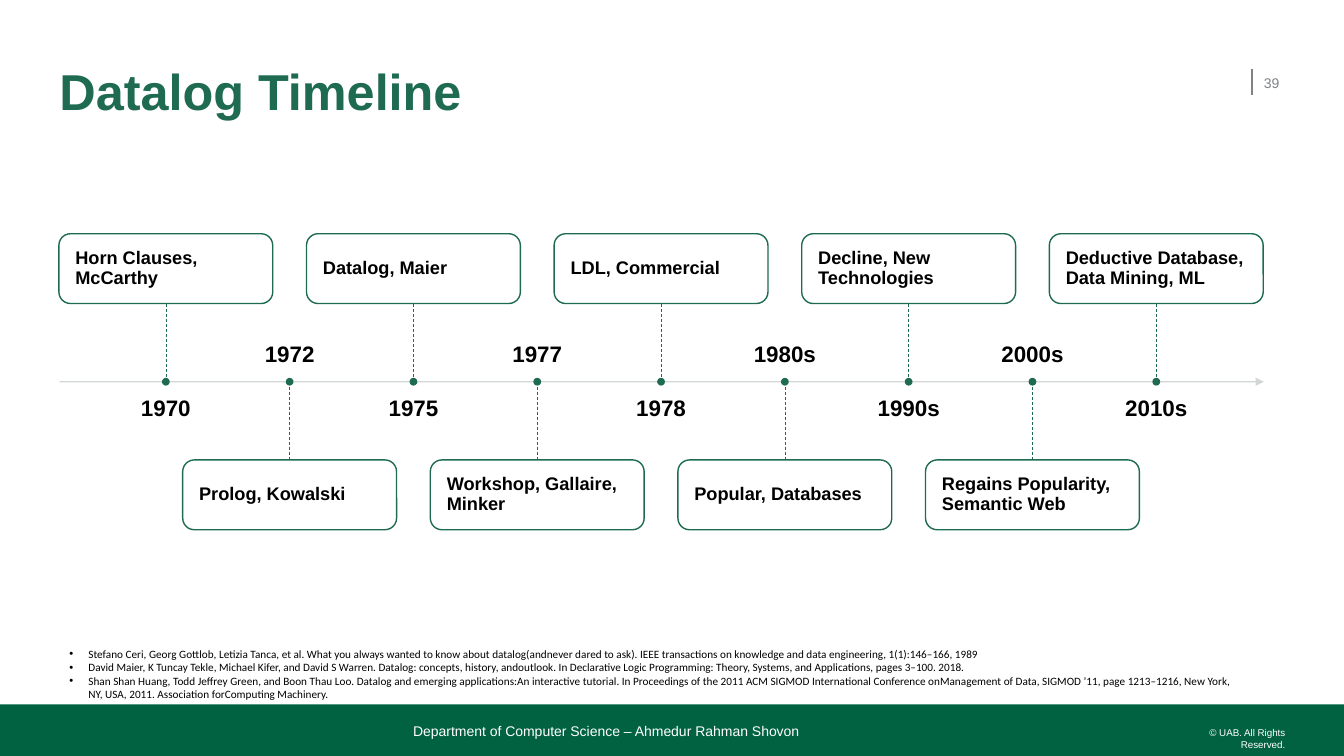
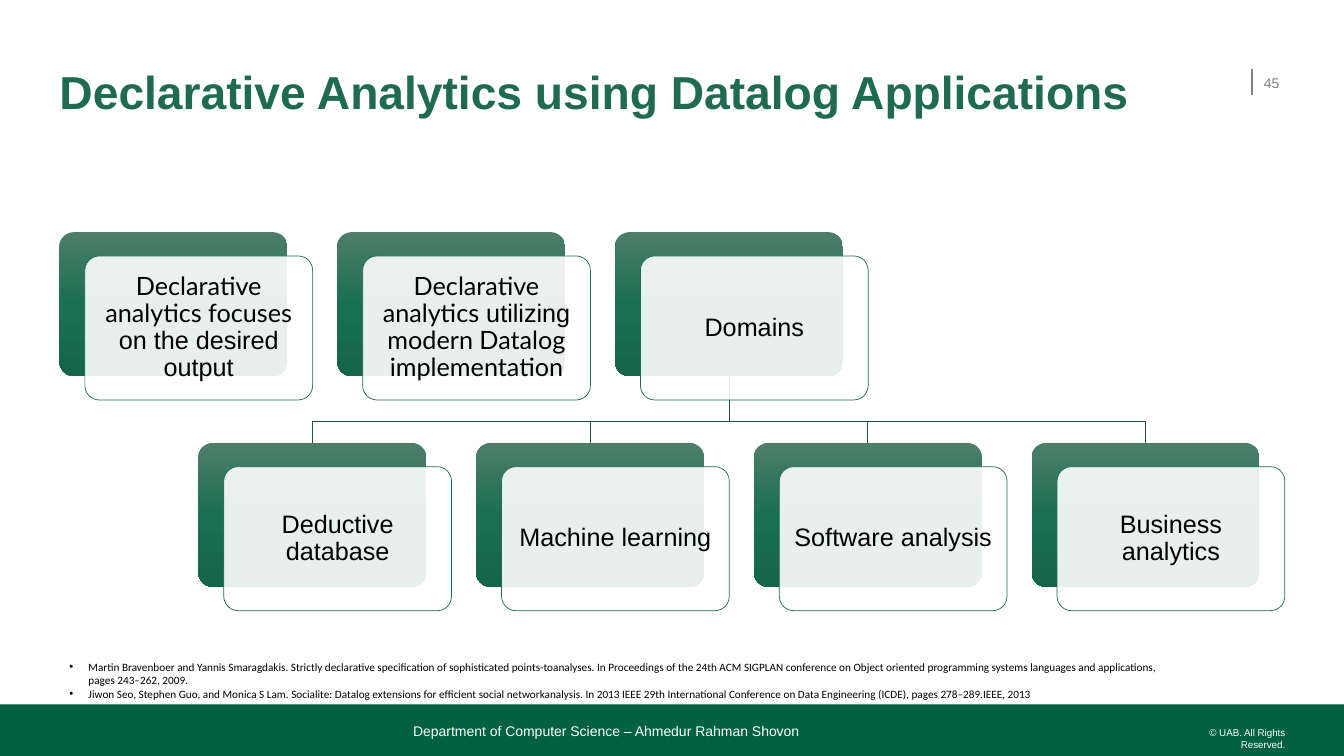
import copy
import dataclasses
import typing

import lxml.etree
import pptx
import pptx.dml.color
import pptx.enum.dml
import pptx.enum.shapes
import pptx.enum.text
import pptx.oxml.ns
import pptx.util

Cm = pptx.util.Cm
Pt = pptx.util.Pt
Align = pptx.enum.text.PP_ALIGN
Anchor = pptx.enum.text.MSO_ANCHOR
Preset = pptx.enum.shapes.MSO_SHAPE
qn = pptx.oxml.ns.qn

GREEN = "1E6B51"
BAND_GREEN = "006241"
TREE_GREEN = "185641"
CARD_GRADIENT = ((0, "4E7E69"), (0.5, "1A6F52"), (1, "14664A"))
GREY = "808285"
AXIS_GREY = "CDD4D0"
WHITE = "FFFFFF"
BLACK = "000000"
MARGIN = 1.5


@dataclasses.dataclass(frozen=True)
class Box:
    """A rectangle in centimetres."""
    left: float
    top: float
    width: float
    height: float

    def lengths(self) -> tuple:
        return Cm(self.left), Cm(self.top), Cm(self.width), Cm(self.height)


@dataclasses.dataclass(frozen=True)
class Style:
    size: float
    color: str = BLACK
    bold: bool = False
    font: str = "Arial"
    align: typing.Any = Align.LEFT
    anchor: typing.Any = Anchor.TOP
    line_spacing: float = 1.0
    inset_x: float = 0
    inset_y: float = 0


@dataclasses.dataclass(frozen=True)
class Event:
    year: str
    label: str


@dataclasses.dataclass(frozen=True)
class Span:
    text: str
    font: str = "Arial"


COPYRIGHT = Style(7, WHITE, align=Align.RIGHT)
PAGE_NUMBER = Style(10, GREY, anchor=Anchor.MIDDLE, inset_y=0.13)
FOOTER = Style(10, WHITE, anchor=Anchor.BOTTOM)
REFERENCE = Style(8, font="Calibri", inset_x=0.25, inset_y=0.13)
YEAR_BELOW = Style(16, bold=True, align=Align.CENTER, line_spacing=0.9)
YEAR_ABOVE = dataclasses.replace(YEAR_BELOW, anchor=Anchor.BOTTOM)
EVENT = Style(13, bold=True, anchor=Anchor.MIDDLE, line_spacing=0.9,
              inset_x=0.33, inset_y=0.33)
CARD = Style(18, align=Align.CENTER, anchor=Anchor.MIDDLE, line_spacing=0.9,
             inset_x=0.18, inset_y=0.18)

EVENTS = (
    Event("1970", "Horn Clauses, McCarthy"),
    Event("1972", "Prolog, Kowalski"),
    Event("1975", "Datalog, Maier"),
    Event("1977", "Workshop, Gallaire, Minker"),
    Event("1978", "LDL, Commercial"),
    Event("1980s", "Popular, Databases"),
    Event("1990s", "Decline, New Technologies"),
    Event("2000s", "Regains Popularity, Semantic Web"),
    Event("2010s", "Deductive Database, Data Mining, ML"),
)
TIMELINE_REFERENCES = (
    "Stefano Ceri, Georg Gottlob, Letizia Tanca, et al. What you always wanted to know about "
    "datalog(andnever dared to ask). IEEE transactions on knowledge and data engineering, "
    "1(1):146–166, 1989",
    "David Maier, K Tuncay Tekle, Michael Kifer, and David S Warren. Datalog: concepts, history, "
    "andoutlook. In Declarative Logic Programming: Theory, Systems, and Applications, "
    "pages 3–100. 2018.",
    "Shan Shan Huang, Todd Jeffrey Green, and Boon Thau Loo. Datalog and emerging applications:An "
    "interactive tutorial. In Proceedings of the 2011 ACM SIGMOD International Conference "
    "onManagement of Data, SIGMOD ’11, page 1213–1216, New York, NY, USA, 2011. Association "
    "forComputing Machinery.",
)
TOPICS = (
    (Span("Declarative analytics focuses", "Lato"), Span(" on the desired output")),
    (Span("Declarative analytics", "Lato"), Span(" utilizing "),
     Span("modern Datalog implementation", "Lato")),
    (Span("Domains"),),
)
DOMAINS = ("Deductive database", "Machine learning", "Software analysis", "Business analytics")
APPLICATION_REFERENCES = (
    "Martin Bravenboer and Yannis Smaragdakis. Strictly declarative specification of sophisticated "
    "points-toanalyses. In Proceedings of the 24th ACM SIGPLAN conference on Object oriented "
    "programming systems languages and applications, pages 243–262, 2009.",
    "Jiwon Seo, Stephen Guo, and Monica S Lam. Socialite: Datalog extensions for efficient social "
    "networkanalysis. In 2013 IEEE 29th International Conference on Data Engineering (ICDE), "
    "pages 278–289.IEEE, 2013",
)


def rgb(color: str) -> pptx.dml.color.RGBColor:
    return pptx.dml.color.RGBColor.from_string(color)


def set_alpha(fill_parent, percent: int) -> None:
    """Make the solid colour inside an XML element partly transparent."""
    color = fill_parent.find(f"{qn('a:solidFill')}/{qn('a:srgbClr')}")
    lxml.etree.SubElement(color, qn("a:alpha"), val=str(percent * 1000))


def add_bullet(paragraph) -> None:
    properties = paragraph._p.get_or_add_pPr()
    properties.set("marL", str(Cm(0.48)))
    properties.set("indent", str(-Cm(0.48)))
    lxml.etree.SubElement(properties, qn("a:buFont"), typeface="Arial")
    lxml.etree.SubElement(properties, qn("a:buChar"), char="•")


def write(shape, paragraphs: typing.Sequence[tuple[Span, ...]], style: Style,
          bulleted: bool = False) -> None:
    frame = shape.text_frame
    frame.word_wrap = True
    frame.vertical_anchor = style.anchor
    frame.margin_left = frame.margin_right = Cm(style.inset_x)
    frame.margin_top = frame.margin_bottom = Cm(style.inset_y)
    for index, spans in enumerate(paragraphs):
        paragraph = frame.add_paragraph() if index else frame.paragraphs[0]
        paragraph.alignment = style.align
        paragraph.line_spacing = style.line_spacing
        if bulleted:
            add_bullet(paragraph)
        font = paragraph.font
        font.size = Pt(style.size)
        font.bold = style.bold
        font.color.rgb = rgb(style.color)
        fonts = {span.font for span in spans}
        if len(fonts) == 1:
            font.name = spans[0].font
        for span in spans:
            run = paragraph.add_run()
            run.text = span.text
            if len(fonts) > 1:
                run.font.name = span.font


def add_text(slide, box: Box, text: str, style: Style) -> None:
    write(slide.shapes.add_textbox(*box.lengths()), [(Span(text, style.font),)], style)


def add_shape(slide, preset, box: Box, fill: str | None = None, line: str | None = None,
              line_width: float = 1):
    shape = slide.shapes.add_shape(preset, *box.lengths())
    shape.shadow.inherit = False
    if fill:
        shape.fill.solid()
        shape.fill.fore_color.rgb = rgb(fill)
    if line:
        shape.line.color.rgb = rgb(line)
        shape.line.width = Pt(line_width)
    else:
        shape.line.fill.background()
    return shape


def add_line(slide, start: tuple[float, float], end: tuple[float, float], color: str,
             width: float = 1):
    line = slide.shapes.add_connector(
        pptx.enum.shapes.MSO_CONNECTOR.STRAIGHT, *(Cm(value) for value in start + end))
    line.line.color.rgb = rgb(color)
    line.line.width = Pt(width)
    lxml.etree.SubElement(line._element.spPr, qn("a:effectLst"))
    return line


def add_base_slide(presentation, title: str, title_size: float, number: str):
    """Add a slide with the title, page number and footer band."""
    slide = presentation.slides.add_slide(presentation.slide_layouts[6])
    add_line(slide, (31.55, 1.73), (31.55, 2.39), GREY)
    add_shape(slide, Preset.RECTANGLE, Box(0, 17.75, 33.87, 1.3), BAND_GREEN)
    add_text(slide, Box(29.34, 18.31, 3.05, 0.3), "© UAB. All Rights Reserved.", COPYRIGHT)
    title_style = Style(title_size, GREEN, True, anchor=Anchor.MIDDLE, line_spacing=0.9)
    add_text(slide, Box(MARGIN, 1.32, 29.54, 2.13), title, title_style)
    add_text(slide, Box(31.85, 1.57, 0.84, 1.02), number, PAGE_NUMBER)
    add_text(slide, Box(10.41, 18.06, 17.98, 0.58),
             "Department of Computer Science – Ahmedur Rahman Shovon", FOOTER)
    return slide


def add_references(slide, box: Box, references: typing.Sequence[str]) -> None:
    paragraphs = [(Span(reference, REFERENCE.font),) for reference in references]
    write(slide.shapes.add_textbox(*box.lengths()), paragraphs, REFERENCE, bulleted=True)


def add_event(slide, event: Event, center: float, axis: float, box_above: bool) -> None:
    """Draw one event; its year stands across the axis from its box."""
    width, height, dot = 5.39, 1.76, 0.16
    top = 5.89 if box_above else 11.59
    box = add_shape(slide, Preset.ROUNDED_RECTANGLE,
                    Box(center - width / 2, top, width, height), WHITE, GREEN)
    set_alpha(box._element.spPr, 90)
    write(box, [(Span(event.label),)], EVENT)
    stem_end = top + height if box_above else top
    stem = add_line(slide, (center, axis), (center, stem_end), GREEN, 0.5)
    stem.line.dash_style = pptx.enum.dml.MSO_LINE.DASH
    add_shape(slide, Preset.OVAL, Box(center - dot / 2, axis - dot / 2, dot, dot), GREEN, GREEN)
    year_top, year_style = (10.01, YEAR_BELOW) if box_above else (8.08, YEAR_ABOVE)
    add_text(slide, Box(center - 2.38, year_top, 4.76, 1.17), event.year, year_style)


def add_timeline_slide(presentation) -> None:
    slide = add_base_slide(presentation, "Datalog Timeline", 36, "39")
    add_references(slide, Box(MARGIN, 16.18, 30.1, 1.63), TIMELINE_REFERENCES)
    axis = 9.62
    arrow = add_line(slide, (MARGIN, axis), (31.85, axis), AXIS_GREY)
    outline = arrow.line._get_or_add_ln()
    set_alpha(outline, 90)
    lxml.etree.SubElement(outline, qn("a:tailEnd"), type="triangle")
    for index, event in enumerate(EVENTS):
        add_event(slide, event, 4.18 + 3.12 * index, axis, index % 2 == 0)


def add_card(slide, box: Box, spans: tuple[Span, ...]) -> None:
    """Draw a gradient card with a translucent text card in front of it."""
    back = add_shape(slide, Preset.ROUNDED_RECTANGLE, box)
    back.fill.gradient()
    back.fill.gradient_angle = 270
    stop_list = back._element.spPr.find(f".//{qn('a:gsLst')}")
    stop_list.append(copy.deepcopy(stop_list[-1]))
    for stop, (position, color) in zip(back.fill.gradient_stops, CARD_GRADIENT):
        stop.position = position
        stop.color.rgb = rgb(color)
    front_box = dataclasses.replace(box, left=box.left + 0.64, top=box.top + 0.6)
    front = add_shape(slide, Preset.ROUNDED_RECTANGLE, front_box, WHITE, GREEN, 0.5)
    set_alpha(front._element.spPr, 90)
    for shape in (back, front):
        shape.adjustments[0] = 0.1
    write(front, [spans], CARD)


def add_branch(slide, parent: Box, child: Box) -> None:
    start = parent.left + parent.width / 2
    end = child.left + child.width / 2
    bend = 10.62
    builder = slide.shapes.build_freeform(Cm(start), Cm(parent.top + parent.height))
    builder.add_line_segments(
        [(Cm(start), Cm(bend)), (Cm(end), Cm(bend)), (Cm(end), Cm(child.top))], close=False)
    branch = builder.convert_to_shape()
    branch.shadow.inherit = False
    branch.fill.background()
    branch.line.color.rgb = rgb(TREE_GREEN)
    branch.line.width = Pt(0.5)


def add_applications_slide(presentation) -> None:
    slide = add_base_slide(
        presentation, "Declarative Analytics using Datalog Applications", 33, "45")
    pitch, width, height = 7, 5.74, 3.63
    topic_boxes = [Box(MARGIN + pitch * index, 5.85, width, height)
                   for index in range(len(TOPICS))]
    domain_boxes = [Box(MARGIN + pitch * (index + 0.5), 11.16, width, height)
                    for index in range(len(DOMAINS))]
    for box in domain_boxes:
        add_branch(slide, topic_boxes[-1], box)
    for box, spans in zip(topic_boxes, TOPICS):
        add_card(slide, box, spans)
    for box, domain in zip(domain_boxes, DOMAINS):
        add_card(slide, box, (Span(domain),))
    add_references(slide, Box(MARGIN, 16.51, 28.14, 1.27), APPLICATION_REFERENCES)


def main() -> None:
    presentation = pptx.Presentation()
    presentation.slide_width = Cm(33.87)
    presentation.slide_height = Cm(19.05)
    add_timeline_slide(presentation)
    add_applications_slide(presentation)
    presentation.save("out.pptx")


if __name__ == "__main__":
    main()
